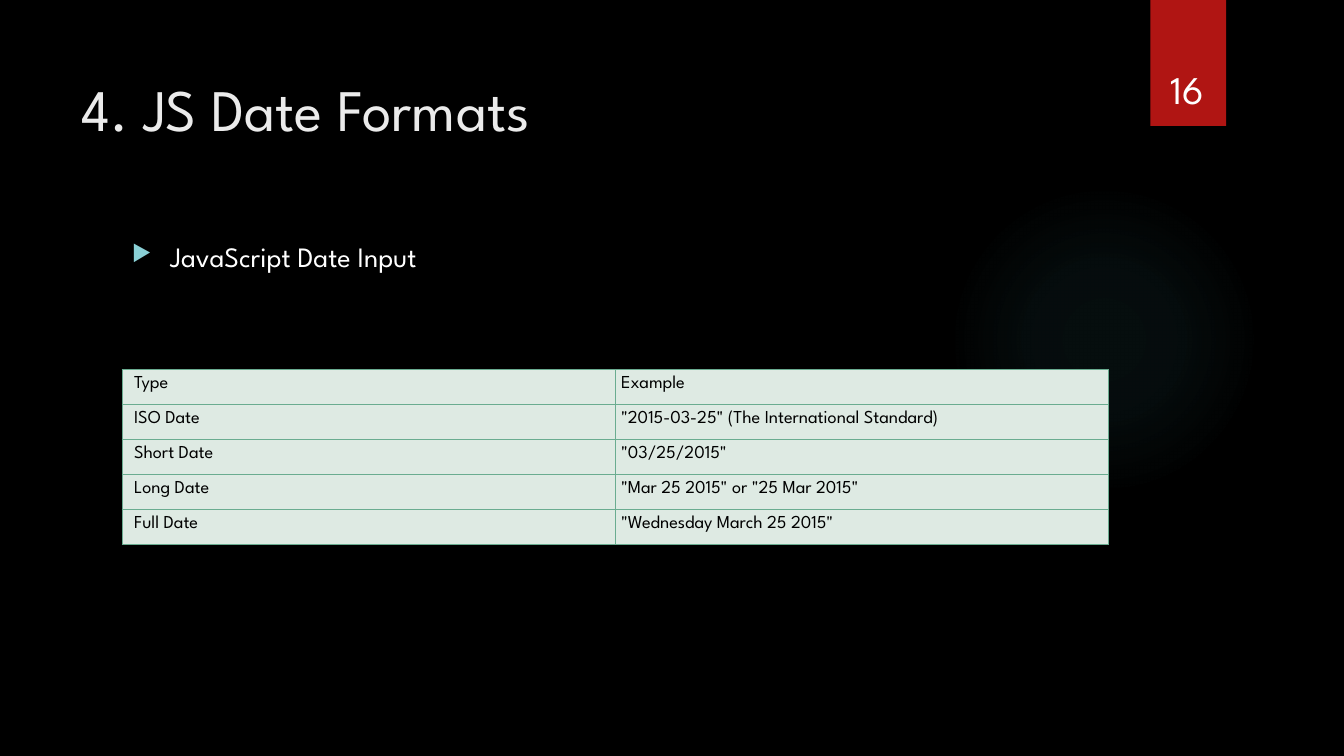
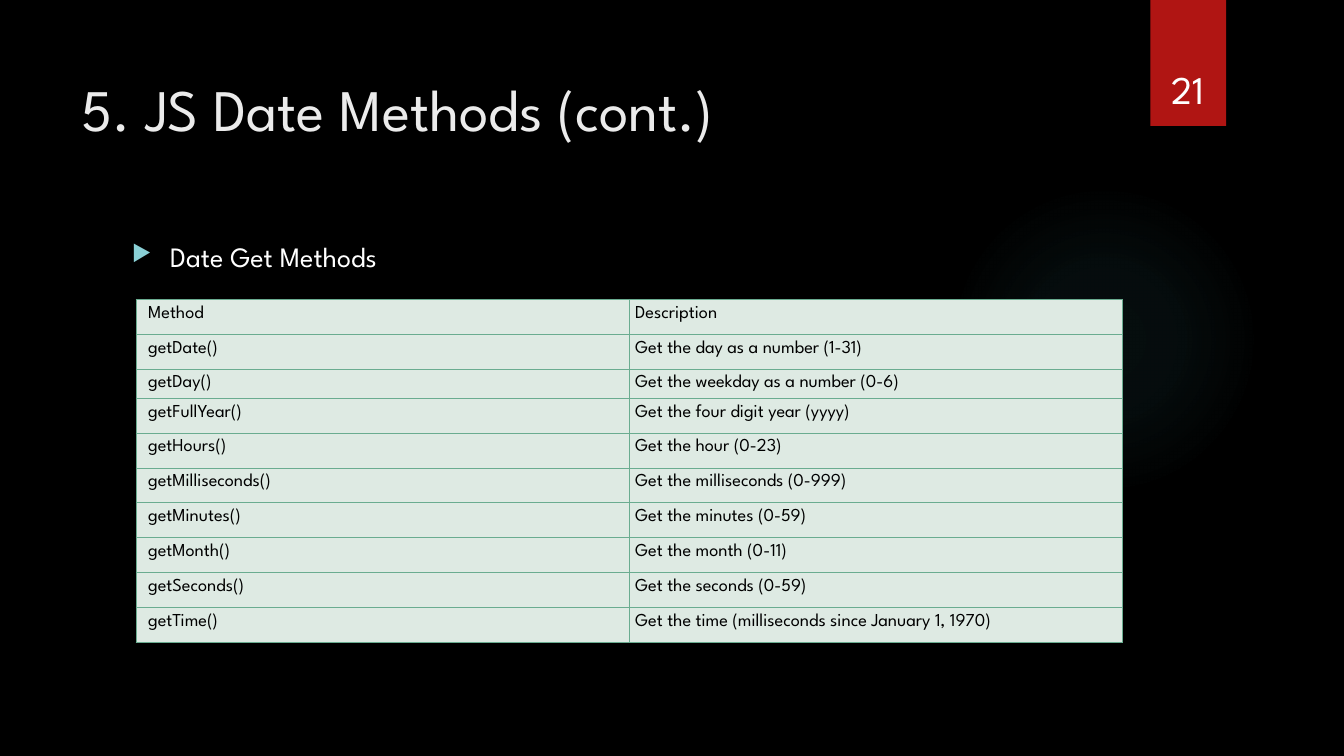
from dataclasses import dataclass
from typing import Any

from lxml import etree
from pptx import Presentation
from pptx import util as u
from pptx.dml.color import RGBColor
from pptx.enum import shapes, text
from pptx.oxml import ns, parse_xml

BLACK = RGBColor(0x00, 0x00, 0x00)
WHITE = RGBColor(0xFF, 0xFF, 0xFF)
TITLE_GREY = RGBColor(0xEB, 0xEB, 0xEB)
RIBBON_RED = RGBColor(0xB0, 0x15, 0x13)
GLOW_TEAL = RGBColor(0x50, 0xB9, 0xC1)
BULLET_TEAL = RGBColor(0x8A, 0xD0, 0xD6)
CELL_MINT = RGBColor(0xDE, 0xEA, 0xE3)
BORDER_GREEN = RGBColor(0x6A, 0xAC, 0x90)

FONT = "League Spartan"
WIDTH = u.Inches(13.33)
HEIGHT = u.Inches(7.5)
ROW = 4.61
SHORT_ROW = 3.87
GLOW_STOPS = ((0, 7), (36, 6), (69, 0))


@dataclass(frozen=True)
class Area:
    """Left, top, width and height as percentages of the slide."""

    left: float
    top: float
    width: float
    height: float

    def lengths(self) -> tuple[int, int, int, int]:
        return across(self.left), down(self.top), across(self.width), down(self.height)


@dataclass(frozen=True)
class TextStyle:
    size: float
    color: RGBColor


@dataclass(frozen=True)
class Lesson:
    number: int
    title: str
    topic: str
    table_left: float
    table_top: float
    rows: tuple[tuple[str, str], ...]
    short_rows: tuple[int, ...] = ()


GLOW = Area(70.59, 24.4, 23.11, 41.07)
RIBBON = Area(85.6, 0, 5.63, 16.67)
TITLE = Area(5.33, 6.67, 77.2, 20.4)
BODY = Area(9.08, 30, 73.37, 61.2)
NUMBER = Area(84.92, 4.27, 6.9, 11.2)

TITLE_STYLE = TextStyle(42, TITLE_GREY)
TOPIC_STYLE = TextStyle(20, WHITE)
NUMBER_STYLE = TextStyle(28, WHITE)
CELL_STYLE = TextStyle(13, BLACK)

LESSONS = (
    Lesson(16, "4. JS Date Formats", "JavaScript Date Input", 9.08, 48.93, (
        ("Type", "Example"),
        ("ISO Date", '"2015-03-25" (The International Standard)'),
        ("Short Date", '"03/25/2015"'),
        ("Long Date", '"Mar 25 2015" or "25 Mar 2015"'),
        ("Full Date", '"Wednesday March 25 2015"'),
    )),
    Lesson(21, "5. JS Date Methods (cont.)", "Date Get Methods", 10.13, 39.6, (
        ("Method", "Description"),
        ("getDate()", "Get the day as a number (1-31)"),
        ("getDay()", "Get the weekday as a number (0-6)"),
        ("getFullYear()", "Get the four digit year (yyyy)"),
        ("getHours()", "Get the hour (0-23)"),
        ("getMilliseconds()", "Get the milliseconds (0-999)"),
        ("getMinutes()", "Get the minutes (0-59)"),
        ("getMonth()", "Get the month (0-11)"),
        ("getSeconds()", "Get the seconds (0-59)"),
        ("getTime()", "Get the time (milliseconds since January 1, 1970)"),
    ), short_rows=(2,)),
)


def across(percent: float) -> int:
    return round(WIDTH * percent / 100)


def down(percent: float) -> int:
    return round(HEIGHT * percent / 100)


def drawing_xml(body: str) -> Any:
    root = parse_xml(f'<a:root {ns.nsdecls("a")}>{body}</a:root>')
    return root[0]


def color_xml(color: RGBColor, alpha: int = 100) -> str:
    return f'<a:srgbClr val="{color}"><a:alpha val="{alpha * 1000}"/></a:srgbClr>'


def add_span(para: Any, wording: str, style: TextStyle) -> None:
    span = para.add_run()
    span.text = wording
    span.font.name = FONT
    span.font.size = u.Pt(style.size)
    span.font.color.rgb = style.color


def add_text(page: Any, area: Area, wording: str, style: TextStyle,
             inset_top: float = 0.05) -> Any:
    box = page.shapes.add_textbox(*area.lengths())
    box.text_frame.word_wrap = True
    box.text_frame.auto_size = text.MSO_AUTO_SIZE.NONE
    box.text_frame.margin_top = u.Inches(inset_top)
    add_span(box.text_frame.paragraphs[0], wording, style)
    return box.text_frame


def add_plain_shape(page: Any, kind: Any, area: Area) -> Any:
    shape = page.shapes.add_shape(kind, *area.lengths())
    shape.shadow.inherit = False
    shape.line.fill.background()
    return shape


def draw_glow(page: Any) -> None:
    glow = add_plain_shape(page, shapes.MSO_SHAPE.OVAL, GLOW)
    stops = "".join(
        f'<a:gs pos="{position * 1000}">{color_xml(GLOW_TEAL, alpha)}</a:gs>'
        for position, alpha in GLOW_STOPS
    )
    gradient = drawing_xml(
        f'<a:gradFill><a:gsLst>{stops}</a:gsLst><a:path path="circle">'
        '<a:fillToRect l="50000" t="50000" r="50000" b="50000"/></a:path></a:gradFill>'
    )
    glow.element.spPr.find(ns.qn("a:prstGeom")).addnext(gradient)


def draw_ribbon(page: Any, number: int) -> None:
    ribbon = add_plain_shape(page, shapes.MSO_SHAPE.RECTANGLE, RIBBON)
    ribbon.fill.solid()
    ribbon.fill.fore_color.rgb = RIBBON_RED
    ribbon.element.spPr.find(ns.qn("a:effectLst")).append(drawing_xml(
        f'<a:outerShdw blurRad="{u.Pt(3)}" dist="{u.Pt(2)}" dir="5400000" '
        f'rotWithShape="0">{color_xml(BLACK, 45)}</a:outerShdw>'
    ))
    frame = add_text(page, NUMBER, str(number), NUMBER_STYLE)
    frame.vertical_anchor = text.MSO_ANCHOR.BOTTOM
    frame.paragraphs[0].alignment = text.PP_ALIGN.CENTER


def draw_topic(page: Any, topic: str) -> None:
    para = add_text(page, BODY, topic, TOPIC_STYLE, inset_top=0.13).paragraphs[0]
    para.space_before = u.Pt(10)
    props = para._p.get_or_add_pPr()
    indent = u.Inches(0.38)
    props.set("marL", str(indent))
    props.set("indent", str(-indent))
    for mark in (f"<a:buClr>{color_xml(BULLET_TEAL)}</a:buClr>",
                 '<a:buSzPct val="80000"/>', '<a:buChar char="\u25b6"/>'):
        props.append(drawing_xml(mark))


def border(side: str) -> etree._Element:
    return drawing_xml(
        f'<a:{side} w="{u.Pt(0.75)}"><a:solidFill>{color_xml(BORDER_GREEN)}'
        f'</a:solidFill></a:{side}>'
    )


def style_cell(cell: Any, wording: str, is_first: bool) -> None:
    cell.fill.solid()
    cell.fill.fore_color.rgb = CELL_MINT
    cell.margin_top = cell.margin_right = cell.margin_bottom = u.Inches(0.06)
    cell.margin_left = u.Inches(0.12 if is_first else 0.06)
    add_span(cell.text_frame.paragraphs[0], wording, CELL_STYLE)
    props = cell._tc.get_or_add_tcPr()
    for place, side in enumerate(("lnL", "lnR", "lnT", "lnB")):
        props.insert(place, border(side))


def draw_table(page: Any, lesson: Lesson) -> None:
    heights = [SHORT_ROW if index in lesson.short_rows else ROW
               for index in range(len(lesson.rows))]
    area = Area(lesson.table_left, lesson.table_top, BODY.width, sum(heights))
    table = page.shapes.add_table(len(lesson.rows), 2, *area.lengths()).table
    table.first_row = table.horz_banding = False
    for index, wordings in enumerate(lesson.rows):
        table.rows[index].height = down(heights[index])
        for column, wording in enumerate(wordings):
            style_cell(table.cell(index, column), wording, column == 0)


def draw_lesson(deck: Any, lesson: Lesson) -> None:
    page = deck.slides.add_slide(deck.slide_layouts[6])
    draw_glow(page)
    draw_ribbon(page, lesson.number)
    add_text(page, TITLE, lesson.title, TITLE_STYLE, inset_top=0.22)
    draw_topic(page, lesson.topic)
    draw_table(page, lesson)


def main() -> None:
    deck = Presentation()
    deck.slide_width, deck.slide_height = WIDTH, HEIGHT
    backdrop = deck.slide_master.background.fill
    backdrop.solid()
    backdrop.fore_color.rgb = BLACK
    for lesson in LESSONS:
        draw_lesson(deck, lesson)
    deck.save("out.pptx")


main()
